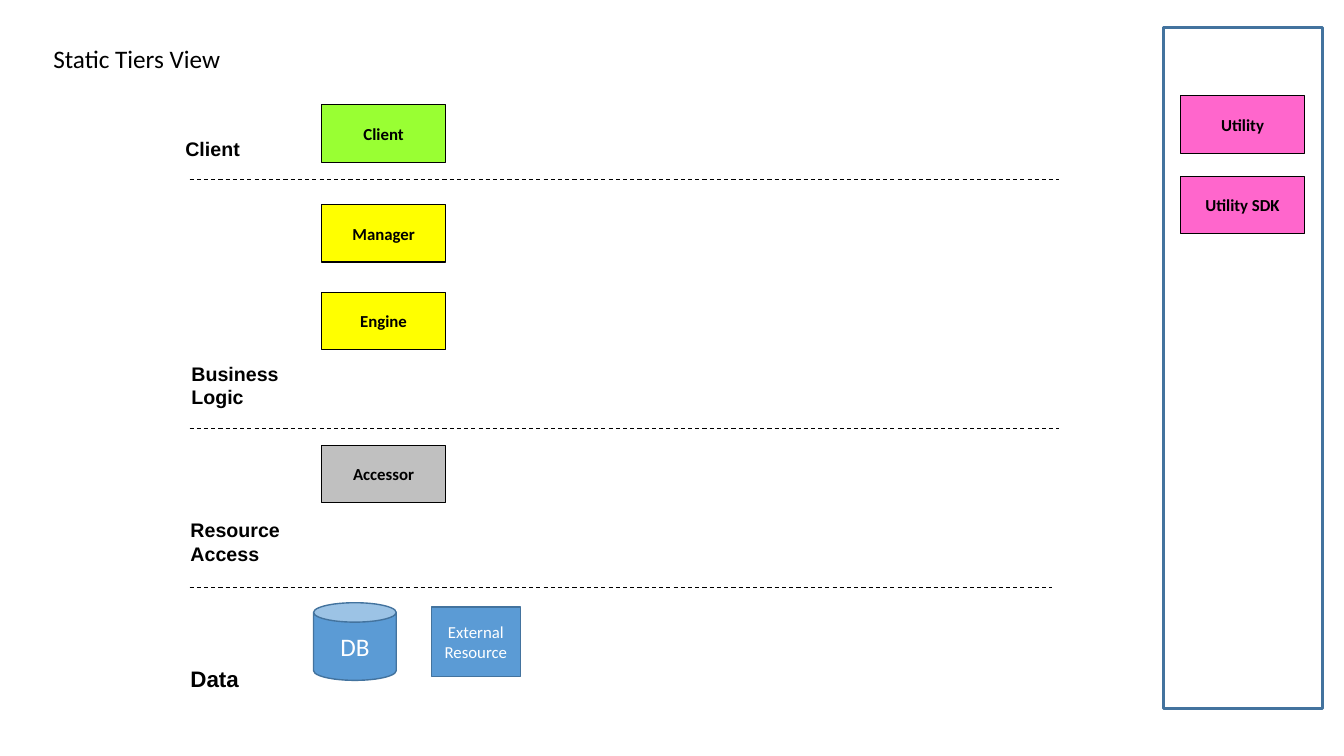
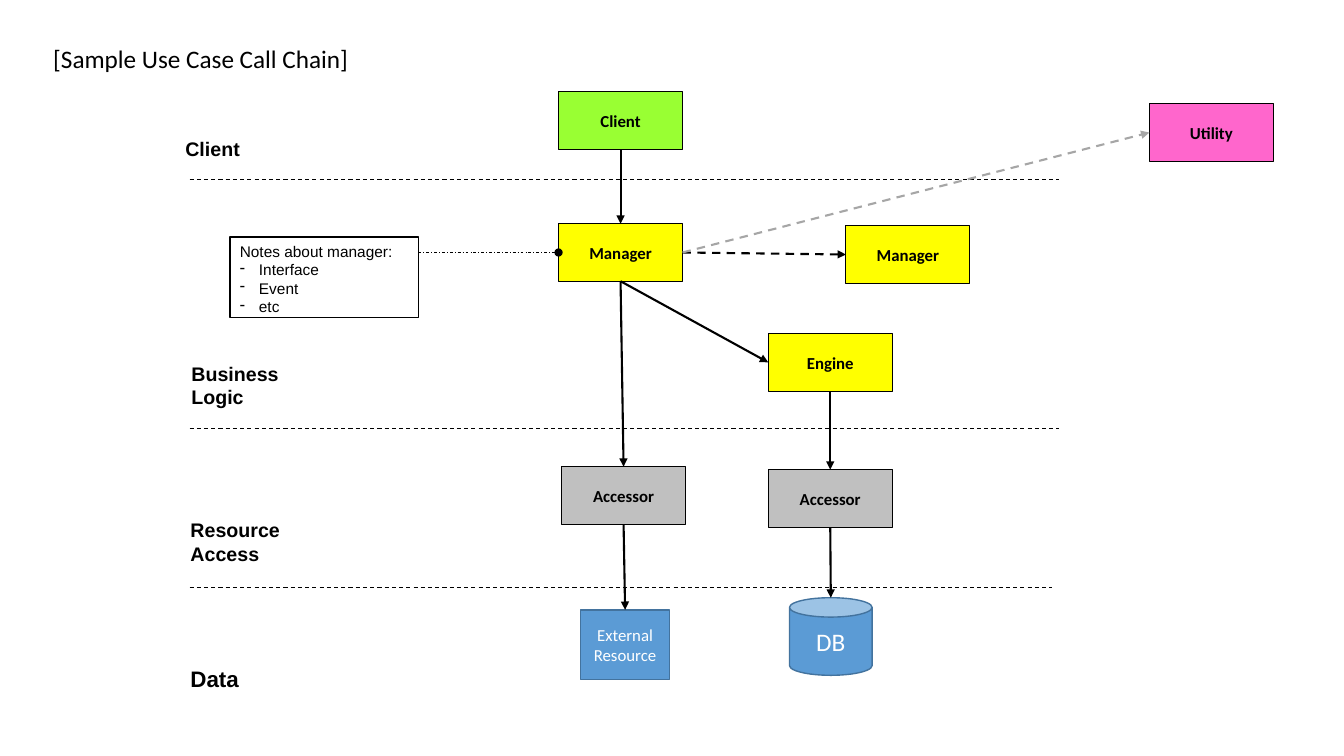
from dataclasses import dataclass, field
from typing import NamedTuple

from lxml import etree
from pptx import Presentation
from pptx import util as u
from pptx.dml import color
from pptx.enum import dml, shapes, text
from pptx.oxml import ns

RECT, CAN = shapes.MSO_SHAPE.RECTANGLE, shapes.MSO_SHAPE.CAN
SIDES = ["top", "left", "bottom", "right"]  # order of a rectangle's connection sites


class Box(NamedTuple):
    x: float
    y: float
    w: float
    h: float


class Kind(NamedTuple):
    w: float
    h: float
    fill: str
    line: str
    width: float
    font: dict
    geometry: int = RECT


def tier_kind(fill):
    font = dict(name="Calibri", size=12, bold=True, color="000000")
    return Kind(1.23, 0.57, fill, "000000", 0.75, font)


def data_kind(w, h, size, geometry=RECT):
    font = dict(name="Calibri", size=size, color="FFFFFF")
    return Kind(w, h, "5B9BD5", "43739E", 1, font, geometry)


@dataclass(frozen=True)
class Theme:
    black: str = "000000"
    white: str = "FFFFFF"
    grey: str = "A6A6A6"
    border: str = "43739E"
    title: dict = field(default_factory=lambda: dict(name="Calibri", size=18, color="000000"))
    label: dict = field(default_factory=lambda: dict(name="Arial", size=14, bold=True, color="000000"))
    note: dict = field(default_factory=lambda: dict(name="Arial", size=11, color="000000"))
    kinds: dict = field(default_factory=lambda: {
        "client": tier_kind("99FF33"),
        "logic": tier_kind("FFFF00"),
        "access": tier_kind("C0C0C0"),
        "utility": tier_kind("FF66CC"),
        "db": data_kind(0.82, 0.77, 18, CAN),
        "external": data_kind(0.88, 0.69, 12),
    })


T = Theme()


# Formatting helpers
def rgb(value):
    return color.RGBColor.from_string(value)


def apply(obj, values):
    for name, value in values.items():
        setattr(obj, name, value)


def set_font(font, values):
    plain = {k: v for k, v in values.items() if k not in ("size", "color")}
    apply(font, dict(plain, size=u.Pt(values["size"])))
    font.color.rgb = rgb(values["color"])


def write(tf, content, font, align=None, **frame):
    apply(tf, frame)
    for i, line in enumerate(content.split("\n")):
        p = tf.paragraphs[0] if i == 0 else tf.add_paragraph()
        p.alignment = align
        r = p.add_run()
        r.text = line
        set_font(r.font, font)


def add_text(s, box, content, font):
    sp = s.shapes.add_textbox(*map(u.Inches, box))
    write(sp.text_frame, content, font, word_wrap=False,
          auto_size=text.MSO_AUTO_SIZE.SHAPE_TO_FIT_TEXT)


def add_shape(s, box, fill, line, width, geometry=RECT):
    sp = s.shapes.add_shape(geometry, *map(u.Inches, box))
    sp.shadow.inherit = False
    if fill:
        sp.fill.solid()
        sp.fill.fore_color.rgb = rgb(fill)
    else:
        sp.fill.background()
    sp.line.color.rgb = rgb(line)
    sp.line.width = u.Pt(width)
    return sp


def add_node(s, area, kind, name, dx, dy):
    k = T.kinds[kind]
    sp = add_shape(s, Box(area.x + dx, area.y + dy, k.w, k.h),
                   k.fill, k.line, k.width, k.geometry)
    write(sp.text_frame, name, k.font, text.PP_ALIGN.CENTER, word_wrap=True,
          vertical_anchor=text.MSO_ANCHOR.MIDDLE)
    return sp


def add_line(s, start, end, line, width, dash=None, tail=None):
    c = s.shapes.add_connector(shapes.MSO_CONNECTOR.STRAIGHT, *start, *end)
    c.line.color.rgb = rgb(line)
    apply(c.line, dict(width=u.Pt(width), dash_style=dash))
    if tail:
        etree.SubElement(c.line._get_or_add_ln(), ns.qn("a:tailEnd"), type=tail)
    etree.SubElement(c._element.spPr, ns.qn("a:effectLst"))
    return c


def anchor(sp, side):
    mid_x, mid_y = sp.left + sp.width // 2, sp.top + sp.height // 2
    return {"top": (mid_x, sp.top), "left": (sp.left, mid_y),
            "bottom": (mid_x, sp.top + sp.height),
            "right": (sp.left + sp.width, mid_y)}[side]


def link(s, a, a_side, b, b_side, line=T.black, dash=None):
    c = add_line(s, anchor(a, a_side), anchor(b, b_side), line, 1.5, dash, "triangle")
    c.begin_connect(a, SIDES.index(a_side))
    if b.auto_shape_type == RECT:
        c.end_connect(b, SIDES.index(b_side))


# Shared backdrop: title, tier labels and dividers
def backdrop(s, title, title_box, area):
    tiers = [  # label, size, dx, dy, width, height, divider dy, divider right inset
        ("Client", 14, 0, 0, 0.74, 0.33, 0.47, 0),
        ("Business\nLogic", 14, 0.06, 2.23, 1.07, 0.57, 2.94, 0),
        ("Resource\nAccess", 14, 0.05, 3.78, 1.09, 0.57, 4.52, 0.07),
        ("Data", 16, 0.05, 5.24, 0.68, 0.37, None, 0),
    ]
    for name, size, dx, dy, w, h, divider, inset in tiers:
        if divider:
            y = u.Inches(area.y + divider)
            add_line(s, (u.Inches(area.x + 0.14), y),
                     (u.Inches(area.x + area.w - inset), y),
                     T.black, 0.75, dml.MSO_LINE.DASH)
        add_text(s, Box(area.x + dx, area.y + dy, w, h), name, dict(T.label, size=size))
    add_text(s, title_box, title, T.title)


# Static view: one sample of each component
def components(s, area):
    for node in [("client", "Client", 0.08, 0), ("logic", "Manager", 0.08, 0.99),
                 ("logic", "Engine", 0.08, 1.86), ("access", "Accessor", 0.08, 3.38),
                 ("db", "DB", 0, 4.94), ("external", "External Resource", 1.17, 4.98)]:
        add_node(s, area, *node)


def utility_pane(s, area):
    add_shape(s, area, None, T.border, 2)
    for i, name in enumerate(["Utility", "Utility SDK"]):
        add_node(s, area, "utility", name, 0.17, 0.68 + 0.8 * i)


# Call chain: nodes, calls and the note on the manager
def call_chain(s, area):
    nodes = {
        "client": ("client", "Client", 3.26, 0),
        "manager": ("logic", "Manager", 3.26, 1.31),
        "engine": ("logic", "Engine", 5.34, 2.4),
        "ext_access": ("access", "Accessor", 3.29, 3.72),
        "utility": ("utility", "Utility", 9.12, 0.12),
        "db": ("db", "DB", 5.55, 5.02),
        "external": ("external", "External Resource", 3.48, 5.14),
        "peer": ("logic", "Manager", 6.11, 1.33),
        "db_access": ("access", "Accessor", 5.34, 3.75),
    }
    n = {key: add_node(s, area, *node) for key, node in nodes.items()}
    for a, b, b_side in [("client", "manager", "top"), ("manager", "ext_access", "top"),
                         ("ext_access", "external", "top"), ("manager", "engine", "left"),
                         ("engine", "db_access", "top"), ("db_access", "db", "top")]:
        link(s, n[a], "bottom", n[b], b_side)
    for b, line in [("peer", T.black), ("utility", T.grey)]:
        link(s, n["manager"], "right", n[b], "left", line, dml.MSO_LINE.DASH)
    note = manager_note(s, Box(area.x, area.y + 1.44, 1.87, 0.8))
    end = anchor(n["manager"], "left")
    add_line(s, (note.left + note.width, end[1]), end, T.black, 0.5,
             dml.MSO_LINE.DASH_DOT, "oval")


def manager_note(s, box):
    sp = add_shape(s, box, T.white, T.black, 1)
    tf = sp.text_frame
    write(tf, "Notes about manager:\nInterface\nEvent\netc", T.note, text.PP_ALIGN.LEFT,
          word_wrap=True, vertical_anchor=text.MSO_ANCHOR.TOP)
    indent = u.Inches(0.19)
    for p in tf.paragraphs[1:]:
        pPr = p._p.get_or_add_pPr()
        pPr.set("marL", str(indent))
        pPr.set("indent", str(-indent))
        etree.SubElement(pPr, ns.qn("a:buChar"), char="-")
    return sp


def main():
    prs = Presentation()
    apply(prs, dict(slide_width=u.Inches(13.33), slide_height=u.Inches(7.5)))
    blank = prs.slide_layouts[6]
    tiers = Box(1.74, 1.31, 8.76, 5.61)

    s = prs.slides.add_slide(blank)
    backdrop(s, "Static Tiers View", Box(0.43, 0.38, 1.88, 0.4), tiers)
    components(s, Box(3.11, 1.04, 2.05, 5.71))
    utility_pane(s, Box(11.54, 0.27, 1.58, 6.76))

    s = prs.slides.add_slide(blank)
    backdrop(s, "[Sample Use Case Call Chain]", Box(0.43, 0.38, 3.16, 0.4), tiers)
    call_chain(s, Box(2.28, 0.91, 10.35, 5.83))

    prs.save("out.pptx")


if __name__ == "__main__":
    main()
